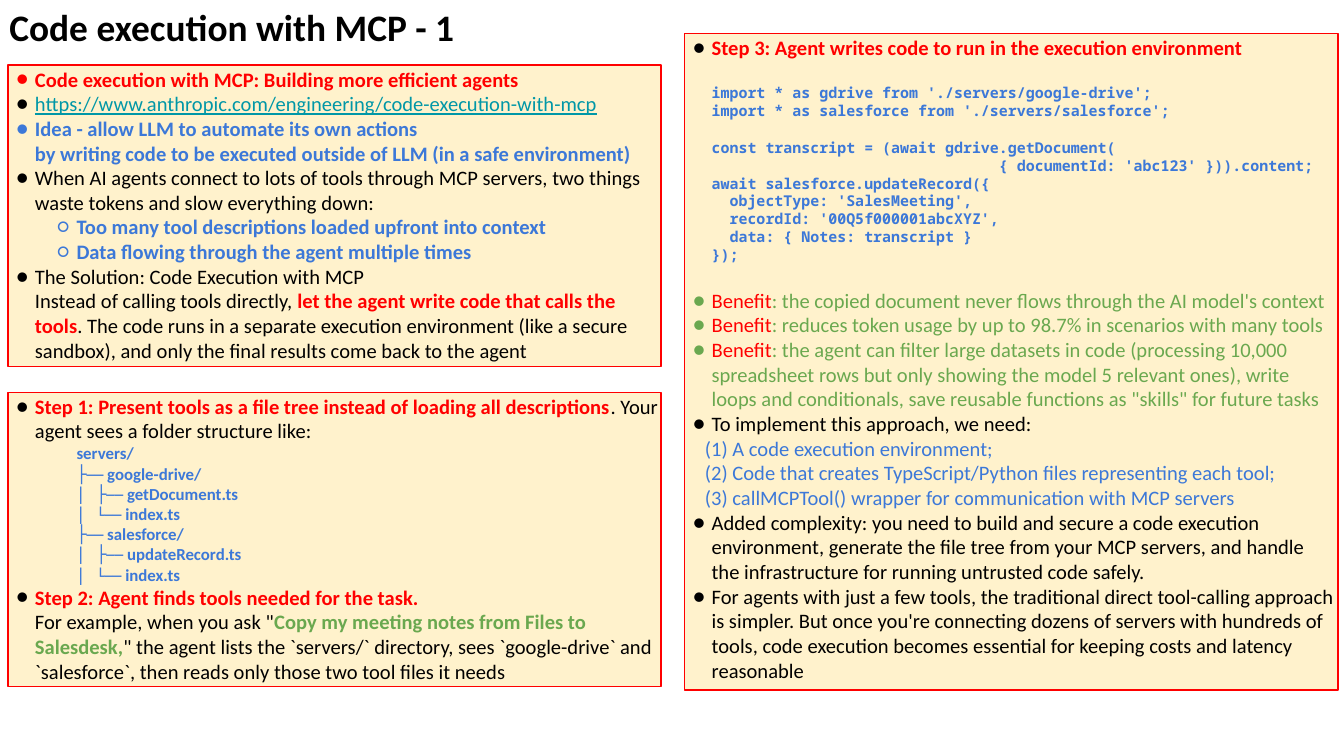
from lxml.etree import SubElement
from pptx import Presentation
from pptx.dml.color import RGBColor
from pptx.enum.text import MSO_ANCHOR, MSO_AUTO_SIZE, PP_ALIGN
from pptx.oxml.ns import qn
from pptx.util import Emu, Pt

PX = 4572  # EMU per px, at 200 px to the inch
BLACK, RED, BLUE, GREEN = "000000", "FF0000", "3C78D8", "6AA84F"
TEAL, CREAM = "0097A7", "FFF2CC"
MARGIN, RIGHT, WIDTH = 12, 1019, 972
TEXT_INDENT, DEEP_INDENT, NEEDS_INDENT, HANG, INSET = 38, 100, 28, 28, 2

# Run formats
PLAIN = {"color": BLACK}
ALERT = {"color": RED, "bold": True}
IDEA = {"color": BLUE, "bold": True}
LINK = {"color": TEAL, "underline": True}
QUOTE = {"color": GREEN, "bold": True}
CODE = {"color": BLUE, "bold": True, "name": "Noto Sans Mono", "size": 8}
TREE = {"color": BLUE, "bold": True, "size": 9}

CODE_GROUPS = [
    (13, """import * as gdrive from './servers/google-drive';
import * as salesforce from './servers/salesforce';"""),
    (10, """const transcript = (await gdrive.getDocument(
                                { documentId: 'abc123' })).content;
await salesforce.updateRecord({
  objectType: 'SalesMeeting',
  recordId: '00Q5f000001abcXYZ',
  data: { Notes: transcript }
});"""),
]

FILE_TREE = """servers/
├── google-drive/
│   ├── getDocument.ts
│   └── index.ts
├── salesforce/
│   ├── updateRecord.ts
│   └── index.ts"""

BENEFITS = [
    "the copied document never flows through the AI model's context",
    "reduces token usage by up to 98.7% in scenarios with many tools",
    "the agent can filter large datasets in code (processing 10,000 spreadsheet rows but only "
    "showing the model 5 relevant ones), write loops and conditionals, save reusable functions "
    "as \"skills\" for future tasks",
]

NEEDS = [
    "(1) A code execution environment;",
    "(2) Code that creates TypeScript/Python files representing each tool;",
    "(3) callMCPTool() wrapper for communication with MCP servers",
]


def rgb(value):
    return RGBColor.from_string(value)


def item(*runs, dot=BLACK, level=0, before=0):
    """A bulleted paragraph."""
    left, mark = [(TEXT_INDENT, "●"), (DEEP_INDENT, "○")][level]
    return {"runs": runs, "left": left, "hang": HANG, "mark": mark, "dot": dot,
            "level": level, "before": before}


def line(text, style, left, before=0):
    """An indented paragraph without a bullet."""
    return {"runs": [(text, style)], "left": left, "hang": 0, "mark": None,
            "level": 0, "before": before}


def lines(text, style, left, before=0):
    return [line(row, style, left, 0 if number else before)
            for number, row in enumerate(text.split("\n"))]


def place(box, left, top, width, height):
    frame = {"left": left, "top": top, "width": width, "height": height}
    for name, value in frame.items():
        setattr(box, name, Emu(value * PX))
    values = {"word_wrap": True, "auto_size": MSO_AUTO_SIZE.NONE,
              "vertical_anchor": MSO_ANCHOR.TOP}
    for side in ("left", "top", "right", "bottom"):
        values[f"margin_{side}"] = Emu(INSET * PX)
    for name, value in values.items():
        setattr(box.text_frame, name, value)


def add_run(para, text, style):
    values = {"name": "Calibri", "size": 11, "bold": False, "underline": False, **style}
    for number, part in enumerate(text.split("\n")):
        if number:
            para.add_line_break()
        if not part:
            continue
        span = para.add_run()
        span.text = part
        span.font.color.rgb = rgb(values["color"])
        for name in ("name", "bold", "underline"):
            setattr(span.font, name, values[name])
        span.font.size = Pt(values["size"])


def set_bullet(para, content):
    properties = para._p.get_or_add_pPr()
    properties.set("marL", str(content["left"] * PX))
    properties.set("indent", str(-content["hang"] * PX))
    if content["mark"]:
        color = SubElement(properties, qn("a:buClr"))
        SubElement(color, qn("a:srgbClr"), val=content["dot"])
        SubElement(properties, qn("a:buFont"), typeface="Calibri")
        SubElement(properties, qn("a:buChar"), char=content["mark"])
    else:
        SubElement(properties, qn("a:buNone"))


def fill_panel(box, frame, contents):
    place(box, *frame)
    box.fill.solid()
    box.fill.fore_color.rgb = rgb(CREAM)
    box.line.color.rgb = rgb(RED)
    box.line.width = Pt(0.75)
    for number, content in enumerate(contents):
        para = box.text_frame.add_paragraph() if number else box.text_frame.paragraphs[0]
        set_bullet(para, content)
        values = {"level": content["level"], "alignment": PP_ALIGN.LEFT, "line_spacing": 1.0,
                  "space_before": Pt(content["before"]), "space_after": Pt(0)}
        for name, value in values.items():
            setattr(para, name, value)
        for text, style in content["runs"]:
            add_run(para, text, style)


def overview():
    return [
        item(("Code execution with MCP: Building more efficient agents", ALERT), dot=RED),
        item(("https://www.anthropic.com/engineering/code-execution-with-mcp", LINK)),
        item(("Idea - allow LLM to automate its own actions \nby writing code to be executed "
              "outside of LLM (in a safe environment)", IDEA), dot=BLUE),
        item(("When AI agents connect to lots of tools through MCP servers, two things waste "
              "tokens and slow everything down:", PLAIN)),
        item(("Too many tool descriptions loaded upfront into context", IDEA), dot=BLUE, level=1),
        item(("Data flowing through the agent multiple times", IDEA), dot=BLUE, level=1),
        item(("The Solution: Code Execution with MCP\nInstead of calling tools directly, ", PLAIN),
             ("let the agent write code that calls the tools", ALERT),
             (". The code runs in a separate execution environment (like a secure sandbox), "
              "and only the final results come back to the agent", PLAIN)),
    ]


def first_steps():
    return [
        item(("Step 1: Present tools as a file tree instead of loading all descriptions", ALERT),
             (". Your agent sees a folder structure like:", PLAIN)),
        *lines(FILE_TREE, TREE, DEEP_INDENT),
        item(("Step 2: Agent finds tools needed for the task.\n", ALERT),
             ("For example, when you ask \"", PLAIN),
             ("Copy my meeting notes from Files to Salesdesk,", QUOTE),
             ("\" the agent lists the `servers/` directory, sees `google-drive` and `salesforce`, "
              "then reads only those two tool files it needs", PLAIN)),
    ]


def third_step():
    code = [row for gap, text in CODE_GROUPS for row in lines(text, CODE, TEXT_INDENT, gap)]
    benefits = [item(("Benefit", {"color": RED}), (f": {text}", {"color": GREEN}),
                     dot=GREEN, before=0 if number else 13)
                for number, text in enumerate(BENEFITS)]
    return [
        item(("Step 3: Agent writes code to run in the execution environment", ALERT)),
        *code,
        *benefits,
        item(("To implement this approach, we need:", PLAIN)),
        *[line(text, {"color": BLUE}, NEEDS_INDENT) for text in NEEDS],
        item(("Added complexity: you need to build and secure a code execution environment, "
              "generate the file tree from your MCP servers, and handle the infrastructure for "
              "running untrusted code safely.", PLAIN)),
        item(("For agents with just a few tools, the traditional direct tool-calling approach is "
              "simpler. But once you're connecting dozens of servers with hundreds of tools, code "
              "execution becomes essential for keeping costs and latency reasonable", PLAIN)),
    ]


def main():
    deck = Presentation()
    deck.slide_width, deck.slide_height = Emu(2000 * PX), Emu(1125 * PX)
    page = deck.slides.add_slide(deck.slide_layouts.get_by_name("Comparison"))

    # Title
    title, *bodies, spare = page.placeholders
    place(title, MARGIN, 4, WIDTH, 72)
    para = title.text_frame.paragraphs[0]
    para.alignment = PP_ALIGN.LEFT
    add_run(para, "Code execution with MCP - 1", {"color": BLACK, "bold": True, "size": 20})

    # Three text panels
    panels = [((MARGIN, 97, WIDTH, 448), overview()),
              ((MARGIN, 584, WIDTH, 438), first_steps()),
              ((RIGHT, 50, WIDTH, 977), third_step())]
    for box, (frame, contents) in zip(bodies, panels):
        fill_panel(box, frame, contents)
    spare.element.getparent().remove(spare.element)
    deck.save("out.pptx")


if __name__ == "__main__":
    main()
